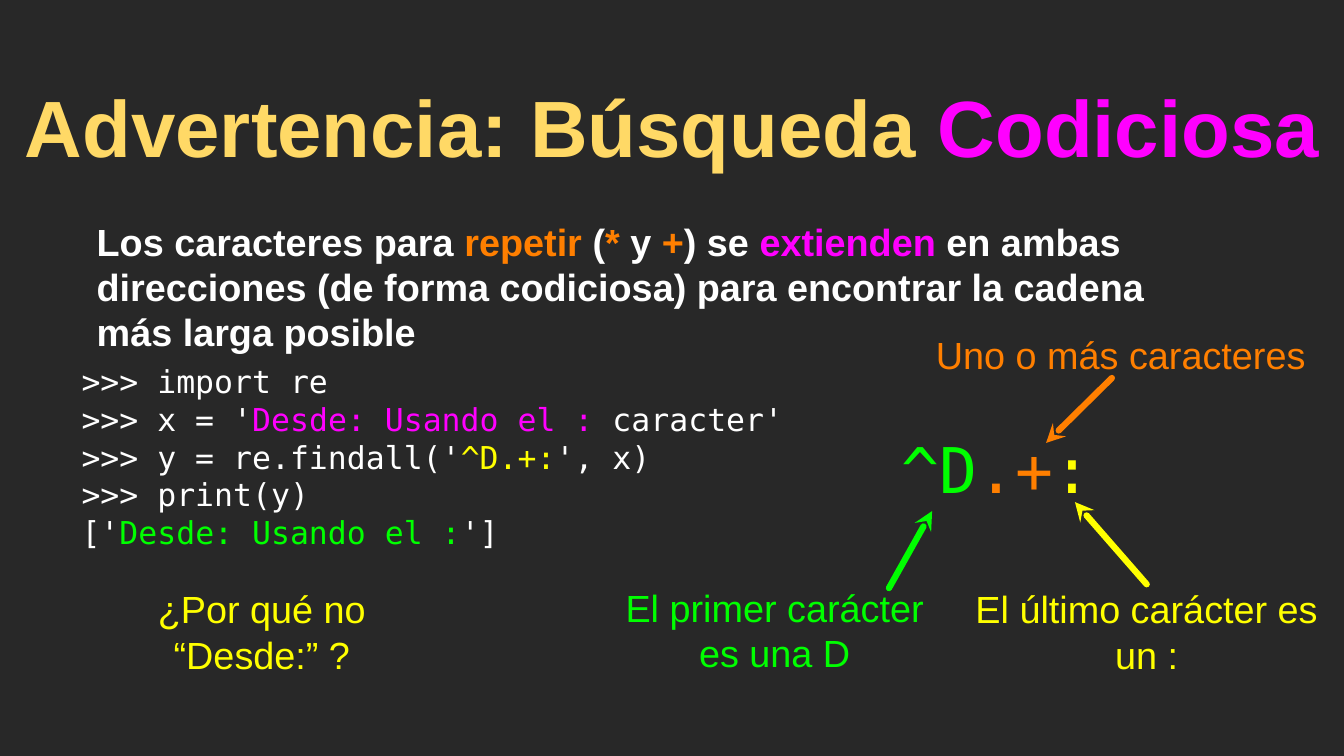
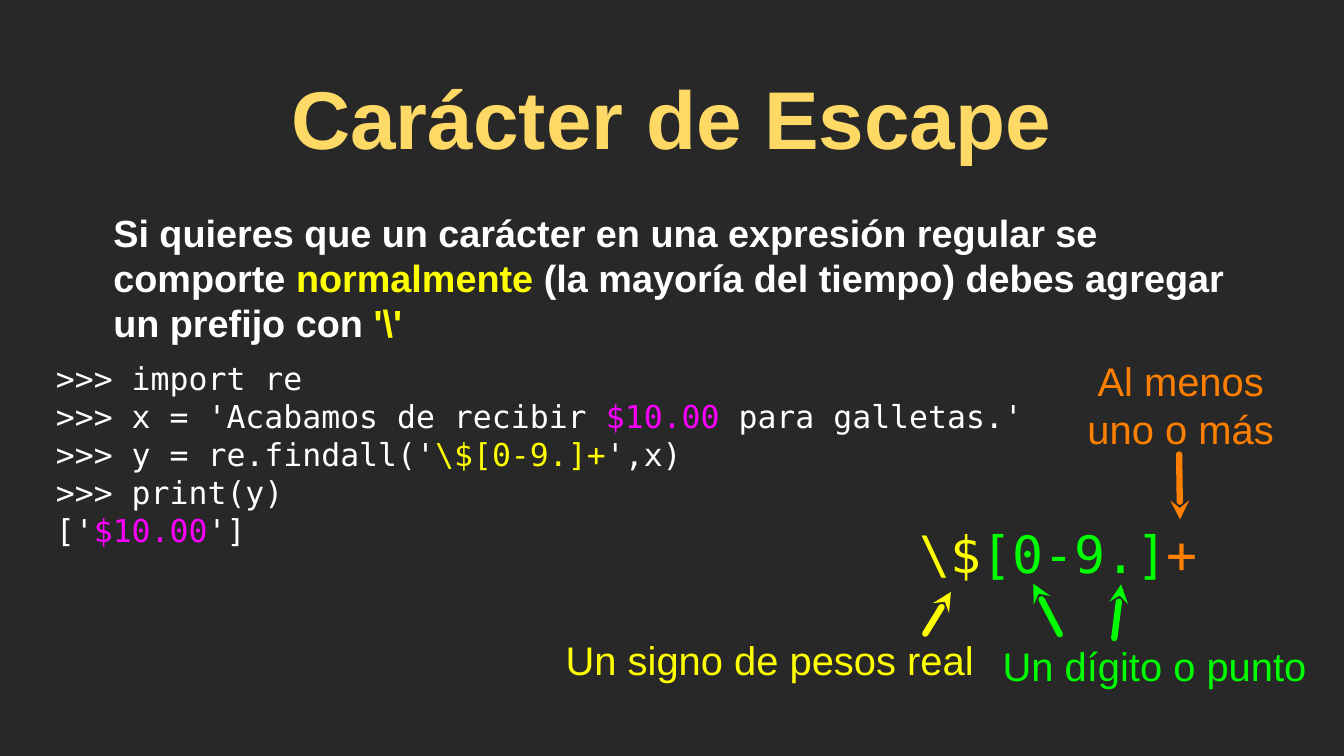
import pptx
import pptx.util
import pptx.dml.color
import pptx.enum.shapes
import pptx.enum.text
import lxml.etree

Cm = pptx.util.Cm
Pt = pptx.util.Pt
RGB = pptx.dml.color.RGBColor
ALIGN = pptx.enum.text.PP_ALIGN
ANCHOR = pptx.enum.text.MSO_ANCHOR

DARK = RGB(0x28, 0x28, 0x28)
GOLD = RGB(0xFF, 0xD9, 0x66)
WHITE = RGB(0xFF, 0xFF, 0xFF)
PINK = RGB(0xFF, 0x00, 0xFF)
ORANGE = RGB(0xFF, 0x7F, 0x00)
YELLOW = RGB(0xFF, 0xFF, 0x00)
GREEN = RGB(0x00, 0xFF, 0x00)

SANS = "Arial"
MONO = "DejaVu Sans Mono"
WIDE, HIGH = 45.16, 25.4


def place(shape, box):
    shape.left, shape.top, shape.width, shape.height = [Cm(v) for v in box]


def write(shape, lines, size, font=SANS, bold=False, align=ALIGN.LEFT,
          anchor=ANCHOR.MIDDLE, inset=0, indent=0):
    frame = shape.text_frame
    frame.word_wrap = True
    frame.auto_size = pptx.enum.text.MSO_AUTO_SIZE.NONE
    frame.vertical_anchor = anchor
    frame.margin_left = Cm(inset + indent)
    frame.margin_top = frame.margin_right = frame.margin_bottom = Cm(inset)
    for row, line in enumerate(lines):
        para = frame.add_paragraph() if row else frame.paragraphs[0]
        para.alignment = align
        for text, color in line:
            run = para.add_run()
            run.text = text
            run.font.name = font
            run.font.size = Pt(size)
            run.font.bold = bold
            run.font.color.rgb = color


def add_text(slide, box, lines, size, **style):
    shape = slide.shapes.add_textbox(0, 0, 0, 0)
    place(shape, box)
    write(shape, lines, size, **style)


def add_title(slide, box, runs, size, inset):
    title = slide.shapes.title
    place(title, box)
    write(title, [runs], size, bold=True, align=ALIGN.CENTER, inset=inset)


def add_intro(slide, box, runs, inset, indent):
    add_text(slide, box, [runs], 36, bold=True, anchor=ANCHOR.TOP,
             inset=inset, indent=indent)


def add_code(slide, box, lines):
    add_text(slide, box, lines, 30, font=MONO)


def add_note(slide, box, text, color, size):
    add_text(slide, box, [[(text, color)]], size, align=ALIGN.CENTER)


def add_arrow(slide, tip, tail, color):
    arrow = slide.shapes.add_connector(
        pptx.enum.shapes.MSO_CONNECTOR.STRAIGHT,
        *[Cm(v) for v in (*tip, *tail)])
    arrow.line.color.rgb = color
    arrow.line.width = Pt(6)
    space = "{http://schemas.openxmlformats.org/drawingml/2006/main}"
    props = arrow.element.spPr
    line = props.find(space + "ln")
    line.set("cap", "rnd")
    lxml.etree.SubElement(line, space + "headEnd", type="stealth")
    lxml.etree.SubElement(props, space + "effectLst")


def add_regex(slide, origin, box, runs, size, notes, note_size, arrows):
    left, top = origin

    def shift(x, y, *rest):
        return (left + x, top + y, *rest)

    add_text(slide, shift(*box), [runs], size, font=MONO)
    for text, color, spot in notes:
        add_note(slide, shift(*spot), text, color, note_size)
    for color, tip, tail in arrows:
        add_arrow(slide, shift(*tip), shift(*tail), color)


def add_slide(deck):
    return deck.slides.add_slide(deck.slide_layouts[5])


def greedy(deck):
    slide = add_slide(deck)
    add_title(slide, (0, 2.51, WIDE, 3.45),
              [("Advertencia: Búsqueda ", GOLD), ("Codiciosa", PINK)], 76, 0.1)
    add_intro(slide, (2.11, 7.24, 38.71, 4.34), [
        ("Los caracteres para ", WHITE), ("repetir", ORANGE), (" (", WHITE),
        ("*", ORANGE), (" y ", WHITE), ("+", ORANGE), (") se ", WHITE),
        ("extienden", PINK),
        (" en ambas direcciones (de forma codiciosa) para encontrar "
         "la cadena más larga posible", WHITE)], 0.1, 1.04)
    add_code(slide, (2.74, 11.58, 27.86, 7.52), [
        [(">>> import re", WHITE)],
        [(">>> x = '", WHITE), ("Desde: Usando el : ", PINK),
         ("caracter'", WHITE)],
        [(">>> y = re.findall('", WHITE), ("^D.+:", YELLOW), ("', x)", WHITE)],
        [(">>> print(y)", WHITE)],
        [("['", WHITE), ("Desde: Usando el :", GREEN), ("']", WHITE)]])
    add_regex(
        slide, (20, 10), (10.3, 4.33, 7.19, 2.84),
        [("^D", GREEN), (".+", ORANGE), (":", YELLOW)], 60,
        [("Uno o más caracteres", ORANGE, (10.66, 0.31, 14, 3.18)),
         ("El primer carácter es una D", GREEN, (0.24, 9.58, 11.58, 3.18)),
         ("El último carácter es un :", YELLOW, (12.74, 9.63, 11.58, 3.18))],
        36,
        [(ORANGE, (15.15, 4.88), (17.36, 2.7)),
         (GREEN, (11.32, 7.17), (9.87, 9.76)),
         (YELLOW, (16.12, 6.87), (18.53, 9.63))])
    add_note(slide, (3.2, 20.45, 11.2, 1.52), "¿Por qué no “Desde:” ?",
             YELLOW, 36)


def escape(deck):
    slide = add_slide(deck)
    add_title(slide, (3.2, 1.8, 38.71, 4.22),
              [("Carácter de Escape", GOLD)], 78, 0.15)
    add_intro(slide, (2.26, 6.88, 40.64, 16.38), [
        ("Si quieres que un carácter en una expresión regular se comporte ",
         WHITE),
        ("normalmente", YELLOW),
        (" (la mayoría del tiempo) debes agregar un prefijo con ", WHITE),
        ("'\\'", YELLOW)], 0.15, 1.4)
    add_code(slide, (1.88, 11.91, 32.84, 6.68), [
        [(">>> import re", WHITE)],
        [(">>> x = 'Acabamos de recibir ", WHITE), ("$10.00", PINK),
         (" para galletas.'", WHITE)],
        [(">>> y = re.findall('", WHITE), ("\\$[0-9.]+", YELLOW),
         ("',x)", WHITE)],
        [(">>> print(y)", WHITE)],
        [("['", WHITE), ("$10.00", PINK), ("']", WHITE)]])
    add_regex(
        slide, (18, 11), (12.89, 6.45, 9.37, 2.26),
        [("\\$", YELLOW), ("[0-9.]", GREEN), ("+", ORANGE)], 49,
        [("Un dígito o punto", GREEN, (15.48, 10.44, 10.64, 1.83)),
         ("Un signo de pesos real", YELLOW, (1, 10.26, 13.74, 1.83)),
         ("Al menos uno o más", ORANGE, (17.74, 0.89, 7.87, 3.38))],
        38,
        [(YELLOW, (13.95, 8.89), (13.09, 10.29)),
         (GREEN, (16.72, 8.61), (17.61, 10.31)),
         (GREEN, (19.67, 8.63), (19.44, 10.44)),
         (ORANGE, (21.65, 6.45), (21.62, 4.27))])


deck = pptx.Presentation()
deck.slide_width, deck.slide_height = Cm(WIDE), Cm(HIGH)
ground = deck.slide_master.background.fill
ground.solid()
ground.fore_color.rgb = DARK
greedy(deck)
escape(deck)
deck.save("out.pptx")
